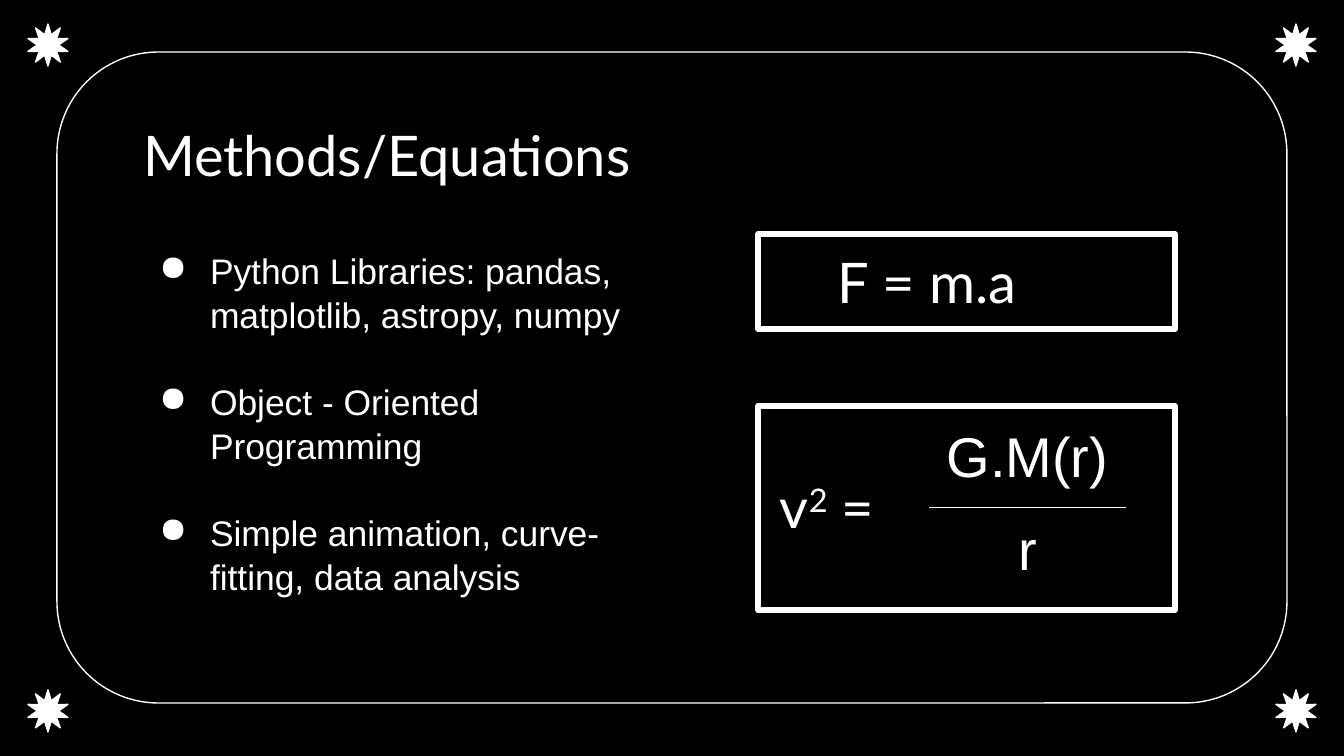
from lxml import etree
from pptx import Presentation
from pptx.dml.color import RGBColor
from pptx.enum.shapes import MSO_SHAPE
from pptx.enum.text import PP_ALIGN
from pptx.oxml.ns import qn
from pptx.util import Pt

PX = 914400 / 134.4
BLACK = RGBColor(0, 0, 0)
WHITE = RGBColor(255, 255, 255)
RECT = MSO_SHAPE.RECTANGLE
ROUNDED = MSO_SHAPE.ROUNDED_RECTANGLE
STAR = MSO_SHAPE.STAR_10_POINT
LEFT, CENTER = PP_ALIGN.LEFT, PP_ALIGN.CENTER
SIDES = ("left", "top", "right", "bottom")
INSET = 13
INDENT = 67
HANGING = 51
LATO = {"name": "Lato", "size": Pt(30)}
ARIAL = {"name": "Arial", "size": Pt(30)}
BODY = {"name": "Arial", "size": Pt(19)}


def px(n):
    return round(n * PX)


class Deck:
    """Holds the style and the current slide, and draws each kind of element."""

    def __init__(self, width, height):
        self.prs = Presentation()
        self.prs.slide_width, self.prs.slide_height = px(width), px(height)
        self.color = WHITE

    def slide(self, color):
        self.s = self.prs.slides.add_slide(self.prs.slide_layouts[6])
        fill = self.s.background.fill
        fill.solid()
        fill.fore_color.rgb = color

    def shape(self, kind, box, weight, adjustments=(), filled=False):
        sp = self.s.shapes.add_shape(kind, *map(px, box))
        sp.shadow.inherit = False
        for i, value in enumerate(adjustments):
            sp.adjustments[i] = value
        if filled:
            sp.fill.solid()
            sp.fill.fore_color.rgb = self.color
        else:
            sp.fill.background()
        sp.line.color.rgb = self.color
        sp.line.width = Pt(weight)
        return sp

    def inset(self, holder):
        for side in SIDES:
            setattr(holder, f"margin_{side}", px(INSET))

    def frame(self, sp):
        tf = sp.text_frame
        tf.word_wrap = True
        self.inset(tf)
        return tf

    def textbox(self, box):
        return self.frame(self.s.shapes.add_textbox(*map(px, box)))

    def run(self, p, text, style, baseline=None):
        r = p.add_run()
        r.text = text
        for name, value in style.items():
            setattr(r.font, name, value)
        r.font.color.rgb = self.color
        if baseline:
            r.font._element.set("baseline", str(baseline))

    def line_of_text(self, tf, runs, style, indent=0, align=LEFT):
        p = tf.paragraphs[0]
        p.alignment = align
        p._p.get_or_add_pPr().set("marL", str(px(indent)))
        for text, baseline in runs:
            self.run(p, text, style, baseline)

    def bullets(self, box, items, style, gap, spacing):
        tf = self.textbox(box)
        for i, item in enumerate(items):
            p = tf.add_paragraph() if i else tf.paragraphs[0]
            p.line_spacing = spacing
            p.space_before = Pt(gap if i else 0)
            pPr = p._p.get_or_add_pPr()
            pPr.set("marL", str(px(INDENT)))
            pPr.set("indent", str(-px(HANGING)))
            color = etree.SubElement(pPr, qn("a:buClr"))
            etree.SubElement(color, qn("a:srgbClr")).set("val", str(self.color))
            etree.SubElement(pPr, qn("a:buChar")).set("char", "●")
            self.run(p, item, style)

    def border(self, cell, side, visible):
        ln = etree.SubElement(cell._tc.get_or_add_tcPr(), qn(f"a:ln{side}"))
        ln.set("w", str(Pt(0.75)))
        if visible:
            fill = etree.SubElement(ln, qn("a:solidFill"))
            etree.SubElement(fill, qn("a:srgbClr")).set("val", str(self.color))
        else:
            etree.SubElement(ln, qn("a:noFill"))

    def fraction(self, box, terms, style):
        table = self.s.shapes.add_table(2, 1, *map(px, box)).table
        table.first_row = table.horz_banding = False
        for i, (term, ruled) in enumerate(zip(terms, "BT")):
            cell = table.cell(i, 0)
            for side in "LRTB":
                self.border(cell, side, side == ruled)
            cell.fill.background()
            self.inset(cell)
            self.line_of_text(cell.text_frame, [(term, None)], style, align=CENTER)


def main():
    deck = Deck(1344, 756)
    deck.slide(BLACK)
    deck.shape(ROUNDED, (57, 52, 1230, 651), 0.75, [0.156])
    for x in (28, 1276):
        for y in (24, 690):
            deck.shape(STAR, (x, y, 40, 42), 0.75, [0.255, 1.051], filled=True)

    title = deck.textbox((130, 108, 542, 92))
    deck.line_of_text(title, [("Methods/Equations", None)], LATO)
    deck.bullets((130, 234, 571, 388), [
        "Python Libraries: pandas, matplotlib, astropy, numpy",
        "Object - Oriented Programming",
        "Simple animation, curve-fitting, data analysis",
    ], BODY, gap=22.8, spacing=1.04)

    force = deck.shape(RECT, (758, 234, 417, 95), 3)
    deck.line_of_text(deck.frame(force), [("F = m.a", None)], LATO, INDENT)

    deck.fraction((929, 414, 197, 186), ["G.M(r)", "r"], ARIAL)
    velocity = deck.textbox((700, 460, 441, 95))
    deck.line_of_text(velocity, [("v", None), ("2", 30000), (" =", None)], LATO, INDENT)
    deck.shape(RECT, (758, 406, 417, 204), 3)
    deck.prs.save("out.pptx")


if __name__ == "__main__":
    main()
